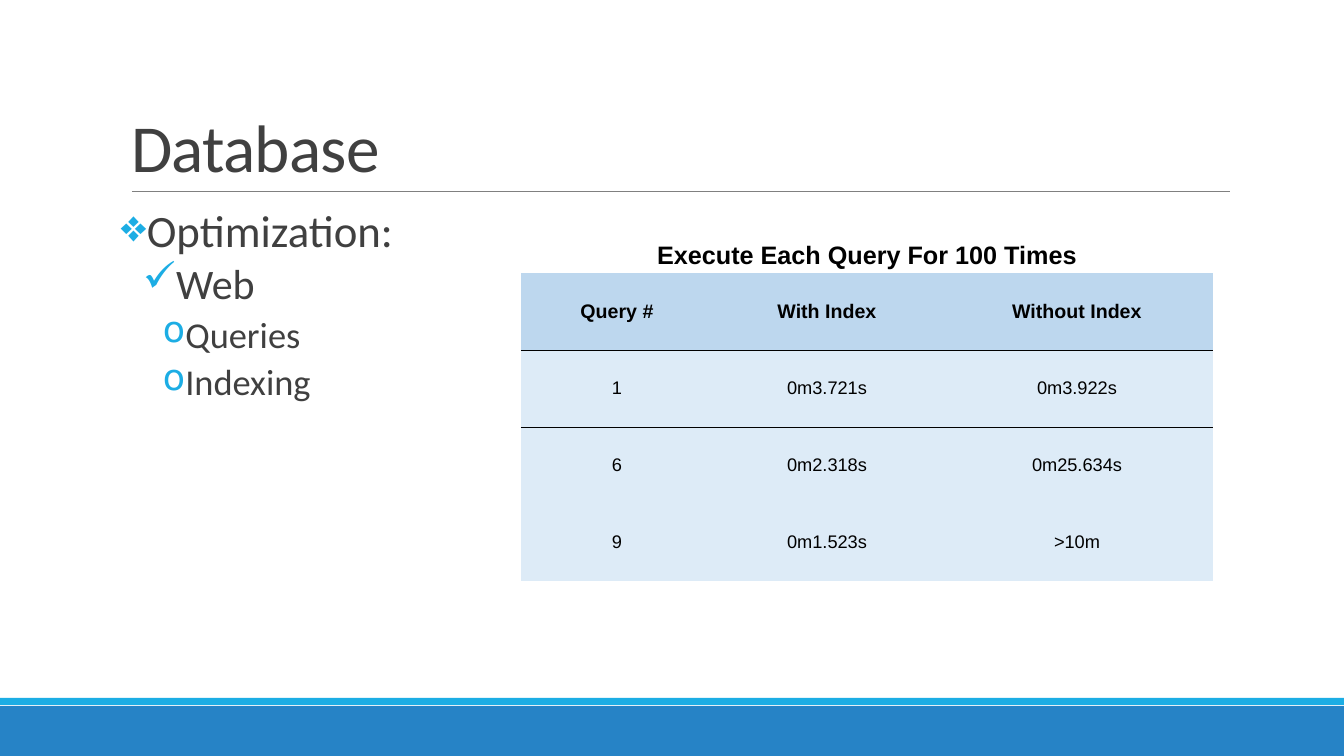
from pptx import Presentation, util as u
from pptx.dml.color import RGBColor
from pptx.enum import shapes, text
from pptx.oxml import parse_xml
from pptx.oxml.ns import nsdecls, qn

PX = 914400 / 100.8
NO_STYLE = "{2D5ABB26-0587-4C30-8999-92F81FD0307C}"


def px(count):
    return u.Emu(round(count * PX))


def colour(value):
    return RGBColor.from_string(value)


class SlideBuilder:
    heading_font = "Calibri"
    table_font = "Arial"
    ink = "404040"
    accent = "1CADE4"

    def __init__(self, deck):
        self.page = deck.slides.add_slide(deck.slide_layouts[5])

    def place(self, shape, left, top, width, height):
        shape.left, shape.top = px(left), px(top)
        shape.width, shape.height = px(width), px(height)

    def span(self, para, words, size, font, ink, bold=False):
        span = para.add_run()
        span.text = words
        span.font.size = u.Pt(size)
        span.font.name = font
        span.font.bold = bold
        span.font.color.rgb = colour(ink)
        return span

    def bar(self, left, top, width, height, fill):
        bar = self.page.shapes.add_shape(
            shapes.MSO_SHAPE.RECTANGLE, px(left), px(top), px(width), px(height))
        bar.shadow.inherit = False
        bar.fill.solid()
        bar.fill.fore_color.rgb = colour(fill)
        bar.line.fill.background()

    def rule(self, left, top, right, ink):
        rule = self.page.shapes.add_connector(
            shapes.MSO_CONNECTOR.STRAIGHT, px(left), px(top), px(right), px(top))
        rule.line.color.rgb = colour(ink)
        rule.line.width = u.Pt(0.5)
        rule._element.spPr.append(parse_xml(f"<a:effectLst {nsdecls('a')}/>"))

    def title(self, words, left, top, width, height):
        title = self.page.shapes.title
        self.place(title, left, top, width, height)
        frame = title.text_frame
        frame.auto_size = text.MSO_AUTO_SIZE.NONE
        frame.vertical_anchor = text.MSO_ANCHOR.BOTTOM
        para = frame.paragraphs[0]
        para.alignment = text.PP_ALIGN.LEFT
        para.line_spacing = 0.85
        span = self.span(para, words, 48, self.heading_font, self.ink)
        span.font._element.set("spc", "-50")

    def outline(self, items, left, top, width, height):
        box = self.page.shapes.add_textbox(px(left), px(top), px(width), px(height))
        frame = box.text_frame
        frame.word_wrap = True
        frame.margin_left = frame.margin_right = 0
        levels = [("❖", 32, 10, 10, 12, 2), ("✓", 30, 42, 20, 2, 4), ("o", 26, 62, 20, 2, 4)]
        for index, (level, words) in enumerate(items):
            mark, size, margin, hang, before, after = levels[level]
            para = frame.add_paragraph() if index else frame.paragraphs[0]
            para.level = level
            para.line_spacing = 0.9
            para.space_before, para.space_after = u.Pt(before), u.Pt(after)
            props = para._p.get_or_add_pPr()
            props.set("marL", str(px(margin)))
            props.set("indent", str(-px(hang)))
            props.append(parse_xml(
                f'<a:buClr {nsdecls("a")}><a:srgbClr val="{self.accent}"/></a:buClr>'))
            props.append(parse_xml(f'<a:buChar {nsdecls("a")} char="{mark}"/>'))
            self.span(para, words, size, self.heading_font, self.ink)

    def cell(self, cell, words, size, bold, fill=None, border=None):
        cell.margin_left = cell.margin_right = px(1)
        cell.margin_top = cell.margin_bottom = px(3)
        cell.vertical_anchor = text.MSO_ANCHOR.MIDDLE
        if fill:
            cell.fill.solid()
            cell.fill.fore_color.rgb = colour(fill)
        else:
            cell.fill.background()
        if border:
            cell._tc.get_or_add_tcPr().insert(0, parse_xml(
                f'<a:{border} {nsdecls("a")} w="6350"><a:solidFill>'
                f'<a:srgbClr val="000000"/></a:solidFill></a:{border}>'))
        para = cell.text_frame.paragraphs[0]
        para.alignment = text.PP_ALIGN.CENTER
        self.span(para, words, size, self.table_font, "000000", bold)

    def table(self, caption, header, rows, left, top, widths, row_height):
        count = len(rows) + 2
        table = self.page.shapes.add_table(
            count, len(widths), px(left), px(top),
            px(sum(widths)), px(row_height * count)).table
        table.first_row = table.horz_banding = False
        table._tbl.tblPr.find(qn("a:tableStyleId")).text = NO_STYLE
        for column, width in zip(table.columns, widths):
            column.width = px(width)
        for row in table.rows:
            row.height = px(row_height)
        heading = table.cell(0, 0)
        heading.merge(table.cell(0, len(widths) - 1))
        self.cell(heading, caption, 18, True)
        heading.vertical_anchor = text.MSO_ANCHOR.BOTTOM
        for column, words in enumerate(header):
            self.cell(table.cell(1, column), words, 14, True, "BDD7EE", "lnB")
        for index, row in enumerate(rows):
            for column, words in enumerate(row):
                self.cell(table.cell(index + 2, column), words, 13, False,
                          "DDEBF7", None if index else "lnT")


def main():
    deck = Presentation()
    deck.slide_width, deck.slide_height = px(1344), px(756)
    slide = SlideBuilder(deck)
    slide.bar(0, 706, 1344, 50, "2683C6")
    slide.bar(0, 698, 1344, 7, slide.accent)
    slide.rule(132, 191, 1230, "808080")
    slide.title("Database", 121, 31, 1109, 160)
    slide.outline(
        [(0, "Optimization:"), (1, "Web"), (2, "Queries"), (2, "Indexing")],
        121, 204, 380, 444)
    slide.table(
        "Execute Each Query For 100 Times",
        ["Query #", "With Index", "Without Index"],
        [["1", "0m3.721s", "0m3.922s"],
         ["6", "0m2.318s", "0m25.634s"],
         ["9", "0m1.523s", ">10m"]],
        521, 196, [192, 228, 272], 77)
    deck.save("out.pptx")


if __name__ == "__main__":
    main()
